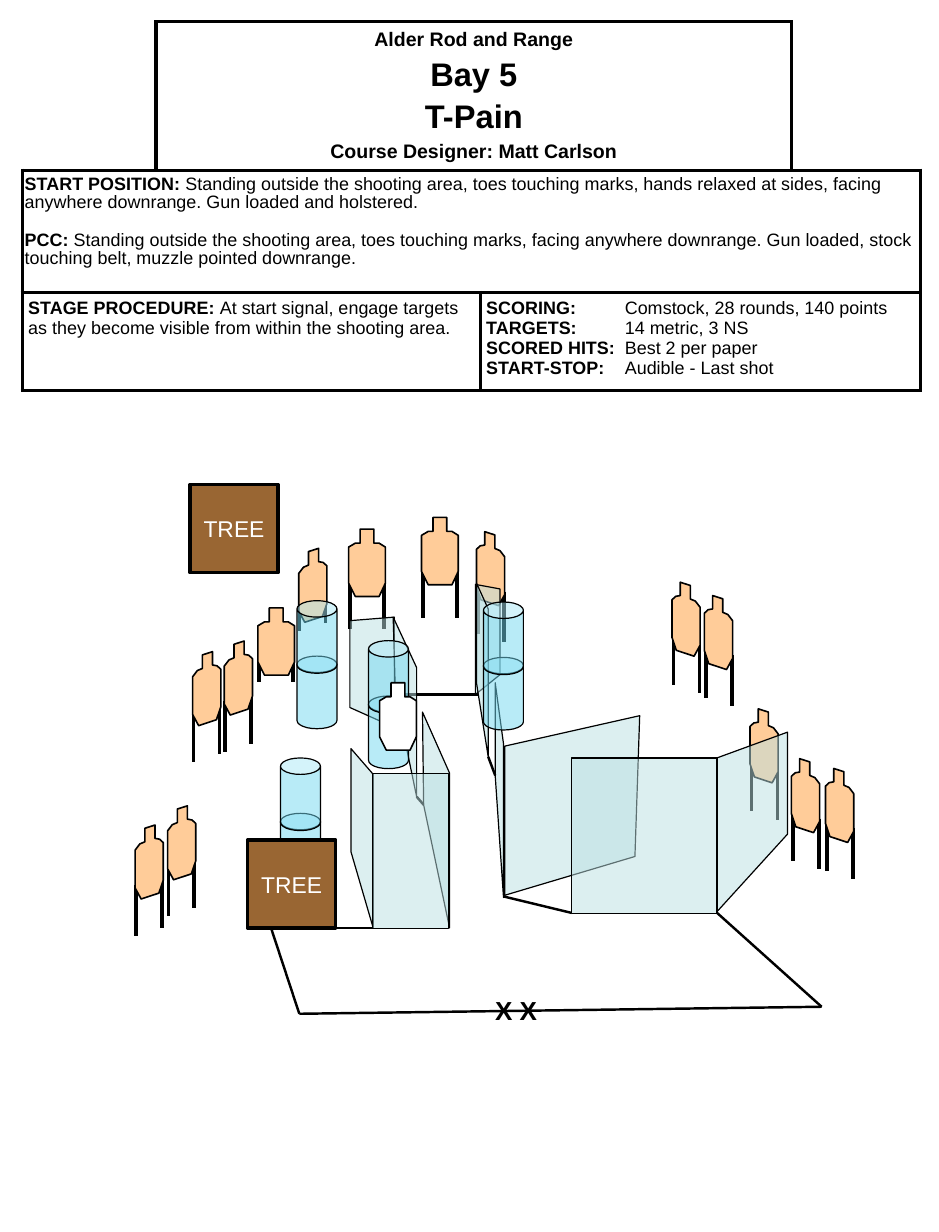
from dataclasses import dataclass

from lxml import etree
from pptx import Presentation
from pptx.dml.color import RGBColor
from pptx.enum.shapes import MSO_CONNECTOR, MSO_SHAPE
from pptx.enum.text import MSO_ANCHOR, PP_ALIGN
from pptx.oxml.ns import qn
from pptx.util import Pt

STRAIGHT = MSO_CONNECTOR.STRAIGHT
RECTANGLE, CAN = MSO_SHAPE.RECTANGLE, MSO_SHAPE.CAN
MIDDLE, CENTER = MSO_ANCHOR.MIDDLE, PP_ALIGN.CENTER


@dataclass(frozen=True)
class Theme:
    font: str = "Arial"
    ink: str = "000000"
    paper: str = "FFFFFF"
    cardboard: str = "FFCC99"
    bark: str = "996633"
    wall: str = "BBE0E3"
    barrel: str = "73D9F1"
    body: float = 11
    heading: float = 12
    tree: float = 14
    mark: float = 16
    stage: float = 20
    hairline: float = 0.75
    outline: float = 1
    fault: float = 1.5
    heavy: float = 2.25


FRONT = [(7, 0), (15.5, 0), (15.5, 8.6), (18.7, 8.6), (22.5, 11), (22.5, 33.2),
         (18.7, 41.3), (4.1, 41.3), (0, 33.2), (0, 11), (4.1, 8.6), (7, 8.6)]
FRONT_LEGS = [(0.7, 30.4), (21.6, 30.4)]
TURNED = [(6, 2), (12.2, 0), (12.2, 8.2), (15, 8.7), (17.3, 10.8), (17.3, 33.8),
          (14.6, 41.8), (3.7, 45.4), (0, 38.6), (0, 15.4), (2.9, 11.6), (6, 10.3)]
TURNED_LEGS = [(0.5, 36.7), (16.4, 31.7)]
TURNED_WIDTH = 17.3
LEG_LENGTH = 31.2

FACING_FRONT = [(213.9, 324.7, 0), (258.6, 317.5, 0), (158.2, 373, -15.8)]
FACING_RIGHT = [(183.3, 336.5, -17), (102.8, 494.5, 0), (82.9, 506.3, 0),
                (137.6, 393.4, 0), (118.2, 399.9, 0)]
FACING_LEFT = [(292.3, 326.3, 0), (460.1, 435, 0), (485.5, 465.6, 0),
               (506.4, 471.6, 0), (432.1, 365.5, 0), (412.2, 357.3, 0)]

FAULT_LINES = [
    [(166.3, 569.5), (183.6, 622.1), (504, 617.8), (439.9, 560.2)],
    [(206.6, 569.5), (229, 569.5)],
    [(255.6, 488.9), (259.9, 493.9)],
    [(242.6, 426.2), (293, 426.2)],
    [(299.5, 464.4), (303.8, 475.9)],
    [(308.9, 550.1), (350.6, 560.2)],
]
SLANTED_WALLS = [
    [(291.6, 426.2), (291.6, 358.6), (306.7, 361.4), (306.7, 414)],
    [(241.9, 446.4), (241.9, 378.7), (214.6, 380.9), (214.6, 434.2)],
    [(215.3, 522.7), (229, 569.5), (229, 475.2), (215.3, 459.4)],
    [(259.9, 493.9), (275.8, 569.5), (275.8, 474.5), (259.2, 437)],
    [(242.6, 426.2), (255.6, 488.9), (255.6, 409.7), (241.2, 378.7)],
    [(292.3, 419), (299.5, 464.4), (299.5, 373.7), (292.3, 357.8)],
    [(389.5, 525.6), (309.6, 549.4), (309.6, 457.9), (392.4, 439.2)],
    [(303.8, 475.9), (308.9, 550.8), (308.9, 456.5), (303.8, 419)],
    [(483.1, 511.9), (439.9, 559.4), (439.9, 465.1), (483.1, 449.3)],
]
SQUARE_WALLS = [(228.6, 474.5, 46.6, 95.4), (350.6, 465.1, 89.3, 95.4)]
BARRELS = [(172.1, 465.1), (296.6, 369.4), (226.1, 393.1), (182.2, 368.6)]
TREES = [(151.9, 515.5), (116.6, 297.4)]

COLUMNS = [82, 199, 191, 79]
ROWS = [91.5, 75, 60]
VALUE_TAB = 85
TITLES = [("Alder Rod and Range", "heading"), ("Bay 5", "stage"),
          ("T-Pain", "stage"), ("Course Designer: Matt Carlson", "heading")]
START = [
    ("START POSITION:", " Standing outside the shooting area, toes touching marks, hands relaxed "
     "at sides, facing anywhere downrange. Gun loaded and holstered."),
    ("PCC: ", "Standing outside the shooting area, toes touching marks, facing anywhere "
     "downrange. Gun loaded, stock touching belt, muzzle pointed downrange."),
]
PROCEDURE = [("STAGE PROCEDURE: ", "At start signal, engage targets as they become visible "
              "from within the shooting area.")]
SCORING = [("SCORING:", "\tComstock, 28 rounds, 140 points"), ("TARGETS:", "\t14 metric, 3 NS"),
           ("SCORED HITS:", "\tBest 2 per paper"), ("START-STOP:", "\tAudible - Last shot")]


def write(paragraph, text, *, font, size, color, bold=False):
    """Append one formatted run to a paragraph."""
    run = paragraph.add_run()
    run.text = text
    run.font.name, run.font.size, run.font.bold = font, Pt(size), bold
    run.font.color.rgb = RGBColor.from_string(color)


class StageSheet:
    """Draws the parts of a shooting stage sheet on one slide."""

    def __init__(self, slide, theme):
        self.slide, self.theme = slide, theme

    def paint(self, shape, fill, width, alpha=None):
        shape.shadow.inherit = False
        shape.fill.solid()
        shape.fill.fore_color.rgb = RGBColor.from_string(fill)
        if alpha:
            color = shape.fill._xPr.find(f".//{qn('a:srgbClr')}")
            etree.SubElement(color, qn("a:alpha"), val=str(alpha * 1000))
        shape.line.color.rgb = RGBColor.from_string(self.theme.ink)
        shape.line.width = Pt(width)
        return shape

    def line(self, start, end, width, parent=None):
        shapes = (parent or self.slide).shapes
        line = shapes.add_connector(STRAIGHT, *(Pt(v) for v in (*start, *end)))
        line.line.color.rgb = RGBColor.from_string(self.theme.ink)
        line.line.width = Pt(width)
        etree.SubElement(line._element.spPr, qn("a:effectLst"))

    def polygon(self, points, fill, width, alpha=None, parent=None):
        corners = [(Pt(x), Pt(y)) for x, y in points]
        builder = (parent or self.slide).shapes.build_freeform(*corners[0], scale=1.0)
        builder.add_line_segments(corners[1:], close=True)
        self.paint(builder.convert_to_shape(), fill, width, alpha)

    def preset(self, kind, box, fill, width, alpha=None, parent=None):
        shapes = (parent or self.slide).shapes
        shape = shapes.add_shape(kind, *(Pt(v) for v in box))
        return self.paint(shape, fill, width, alpha)

    def target(self, left, top, outline, legs, leg_shift=0, mirror=False):
        def place(x, y):
            return left + (TURNED_WIDTH - x if mirror else x), top + y

        group = self.slide.shapes.add_group_shape()
        for x, y in legs:
            self.line(place(x, y + leg_shift), place(x, y + leg_shift + LEG_LENGTH),
                      self.theme.heavy, group)
        self.polygon([place(x, y) for x, y in outline], self.theme.cardboard,
                     self.theme.outline, parent=group)

    def barrel(self, left, top):
        group = self.slide.shapes.add_group_shape()
        for drop in (34, 0):
            can = self.preset(CAN, (left, top + drop, 24.5, 44.6), self.theme.barrel,
                              self.theme.hairline, 50, group)
            can.adjustments[0] = 0.413

    def tree(self, left, top):
        theme = self.theme
        trunk = self.preset(RECTANGLE, (left, top, 54, 54), theme.bark, theme.heavy)
        trunk.text_frame.vertical_anchor = MIDDLE
        label = trunk.text_frame.paragraphs[0]
        label.alignment = CENTER
        write(label, "TREE", font=theme.font, size=theme.tree, color=theme.paper)

    def start_marks(self, left, top):
        theme = self.theme
        marks = self.slide.shapes.add_textbox(Pt(left), Pt(top), Pt(42), Pt(26.6))
        write(marks.text_frame.paragraphs[0], "X X", font=theme.font, size=theme.mark,
              color=theme.ink, bold=True)

    def border(self, cell, sides):
        properties = cell._tc.get_or_add_tcPr()
        for side in sides:
            edge = etree.SubElement(properties, qn(f"a:ln{side}"), w=str(int(Pt(self.theme.heavy))))
            fill = etree.SubElement(edge, qn("a:solidFill"))
            etree.SubElement(fill, qn("a:srgbClr"), val=self.theme.ink)

    def paragraphs(self, cell, count, inset):
        cell.margin_left = cell.margin_right = Pt(inset)
        cell.margin_top = cell.margin_bottom = Pt(3.6)
        frame = cell.text_frame
        return [frame.paragraphs[0]] + [frame.add_paragraph() for _ in range(count - 1)]

    def labelled(self, cell, entries, inset=3.6, gap=0, spacing=None, tab=None):
        theme = self.theme
        for index, paragraph in enumerate(self.paragraphs(cell, len(entries), inset)):
            if tab:
                stops = etree.SubElement(paragraph._p.get_or_add_pPr(), qn("a:tabLst"))
                etree.SubElement(stops, qn("a:tab"), pos=str(int(Pt(tab))), algn="l")
            if spacing:
                paragraph.line_spacing = spacing
            if index and gap:
                paragraph.space_before = Pt(gap)
            for text, bold in zip(entries[index], (True, False)):
                write(paragraph, text, font=theme.font, size=theme.body, color=theme.ink, bold=bold)

    def briefing(self, left, top):
        theme = self.theme
        table = self.slide.shapes.add_table(len(ROWS), len(COLUMNS), Pt(left), Pt(top),
                                            Pt(sum(COLUMNS)), Pt(sum(ROWS))).table
        table.first_row = table.horz_banding = False
        for column, width in zip(table.columns, COLUMNS):
            column.width = Pt(width)
        for row, height in zip(table.rows, ROWS):
            row.height = Pt(height)
        corners = {(0, 0): "RB", (0, 3): "LB"}
        for r in range(len(ROWS)):
            for c in range(len(COLUMNS)):
                cell = table.cell(r, c)
                self.border(cell, corners.get((r, c), "LRTB"))
                cell.fill.solid()
                cell.fill.fore_color.rgb = RGBColor.from_string(theme.paper)
        for row, first, last in [(0, 1, 2), (1, 0, 3), (2, 0, 1), (2, 2, 3)]:
            table.cell(row, first).merge(table.cell(row, last))
        header = table.cell(0, 1)
        header.vertical_anchor = MIDDLE
        for index, paragraph in enumerate(self.paragraphs(header, len(TITLES), 3.6)):
            text, level = TITLES[index]
            paragraph.alignment = CENTER
            if index:
                paragraph.space_before = Pt(3.5)
            write(paragraph, text, font=theme.font, size=getattr(theme, level),
                  color=theme.ink, bold=True)
        self.labelled(table.cell(1, 0), START, inset=1.5, gap=12.5, spacing=0.9)
        self.labelled(table.cell(2, 0), PROCEDURE)
        self.labelled(table.cell(2, 2), SCORING, tab=VALUE_TAB)


def main():
    theme = Theme()
    deck = Presentation()
    deck.slide_width, deck.slide_height = Pt(576), Pt(756)
    sheet = StageSheet(deck.slides.add_slide(deck.slide_layouts[6]), theme)
    sheet.briefing(13.7, 13)
    for left, top, shift in FACING_FRONT:
        sheet.target(left, top, FRONT, FRONT_LEGS, shift)
    for places, mirror in ((FACING_RIGHT, False), (FACING_LEFT, True)):
        for left, top, shift in places:
            sheet.target(left, top, TURNED, TURNED_LEGS, shift, mirror)
    for route in FAULT_LINES:
        for start, end in zip(route, route[1:]):
            sheet.line(start, end, theme.fault)
    for corners in SLANTED_WALLS:
        sheet.polygon(corners, theme.wall, theme.hairline, 50)
    for box in SQUARE_WALLS:
        sheet.preset(RECTANGLE, box, theme.wall, theme.hairline, 50)
    for place in BARRELS:
        sheet.barrel(*place)
    for place in TREES:
        sheet.tree(*place)
    sheet.start_marks(296.6, 607)
    sheet.polygon([(232.9 + x, 419 + y) for x, y in FRONT], theme.paper, theme.outline)
    deck.save("out.pptx")


if __name__ == "__main__":
    main()
